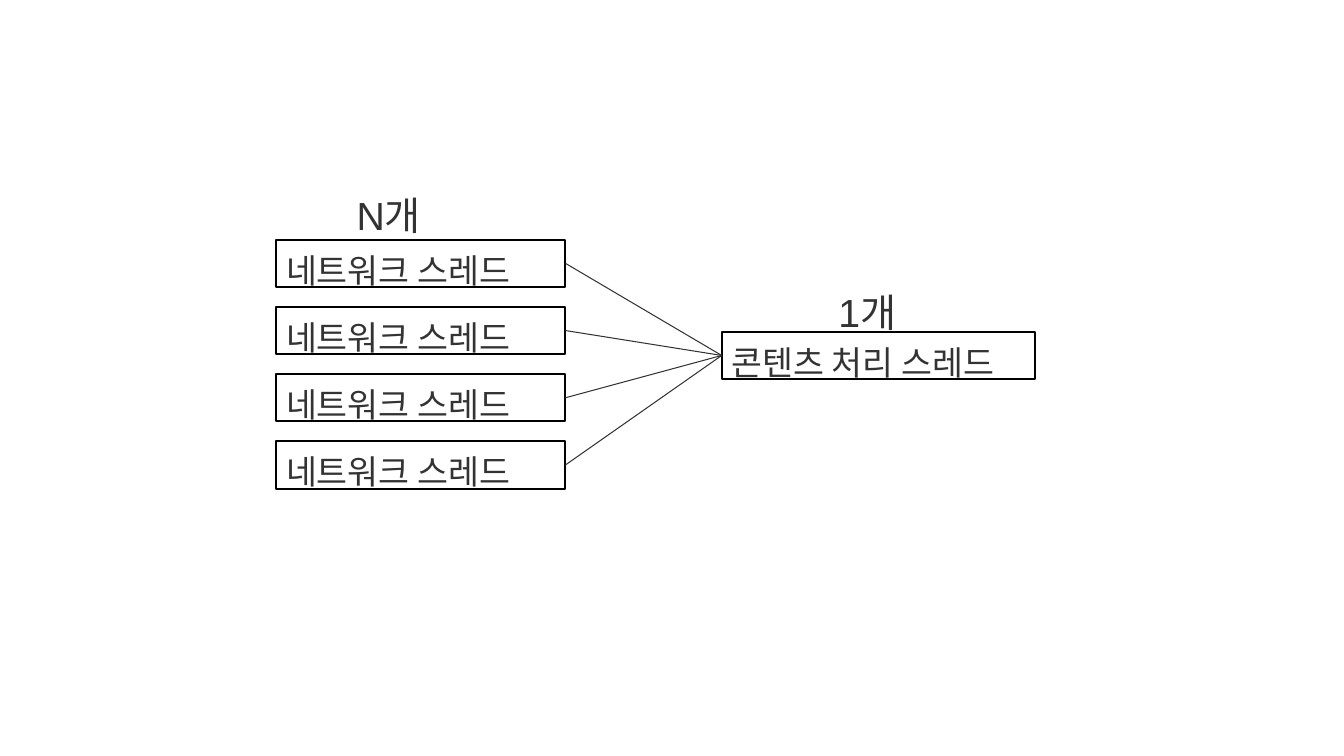
import pptx
import pptx.dml.color
import pptx.enum.shapes
import pptx.enum.text
import pptx.oxml.ns
import pptx.util
import lxml.etree

Pt = pptx.util.Pt
INK = "333333"
BLACK = "000000"
BOX_HEIGHT = 33.84
THREAD_COUNT = 4
THREAD_PITCH = 48


def colour(value):
    """Return the colour for a hex string."""
    return pptx.dml.color.RGBColor.from_string(value)


def write_text(shape, text, size=24, color=INK, font="Arial"):
    """Put left-aligned text at the top of a shape."""
    frame = shape.text_frame
    frame.word_wrap = True
    frame.vertical_anchor = pptx.enum.text.MSO_ANCHOR.TOP
    frame.margin_left = frame.margin_right = Pt(7.2)
    frame.margin_top = frame.margin_bottom = Pt(7.2)
    paragraph = frame.paragraphs[0]
    paragraph.alignment = pptx.enum.text.PP_ALIGN.LEFT
    run = paragraph.add_run()
    run.text = text
    run.font.size = Pt(size)
    run.font.name = font
    run.font.color.rgb = colour(color)


def add_thread_box(slide, text, left, top, width):
    """Add an outlined box that stands for a thread."""
    shape = slide.shapes.add_shape(
        pptx.enum.shapes.MSO_SHAPE.RECTANGLE,
        Pt(left), Pt(top), Pt(width), Pt(BOX_HEIGHT))
    shape.shadow.inherit = False
    shape.fill.background()
    shape.line.color.rgb = colour(BLACK)
    shape.line.width = Pt(1.5)
    write_text(shape, text)
    return shape


def add_count_label(slide, text, left, top):
    """Add the label that counts the threads below it."""
    label = slide.shapes.add_textbox(Pt(left), Pt(top), Pt(90.72), Pt(26.64))
    write_text(label, text, size=28)


def join_boxes(slide, source, target):
    """Draw a line from the right side of source to the left side of target."""
    connector = slide.shapes.add_connector(
        pptx.enum.shapes.MSO_CONNECTOR.STRAIGHT, 0, 0, 0, 0)
    connector.begin_connect(source, 3)
    connector.end_connect(target, 1)
    connector.line.color.rgb = colour(INK)
    connector.line.width = Pt(0.75)
    lxml.etree.SubElement(
        connector._element.spPr, pptx.oxml.ns.qn("a:effectLst"))


def main():
    """Build the slide and save it."""
    presentation = pptx.Presentation()
    presentation.slide_width = Pt(960)
    presentation.slide_height = Pt(540)
    slide = presentation.slides.add_slide(presentation.slide_layouts[6])

    network_boxes = [
        add_thread_box(slide, "네트워크 스레드", 197.28,
                       171.2 + index * THREAD_PITCH, 206.64)
        for index in range(THREAD_COUNT)
    ]
    content_box = add_thread_box(
        slide, "콘텐츠 처리 스레드", 515.52, 237, 223.92)
    for network_box in network_boxes:
        join_boxes(slide, network_box, content_box)

    add_count_label(slide, "N개", 247.68, 129.6)
    add_count_label(slide, "1개", 591.84, 198.72)
    presentation.save("out.pptx")


if __name__ == "__main__":
    main()
